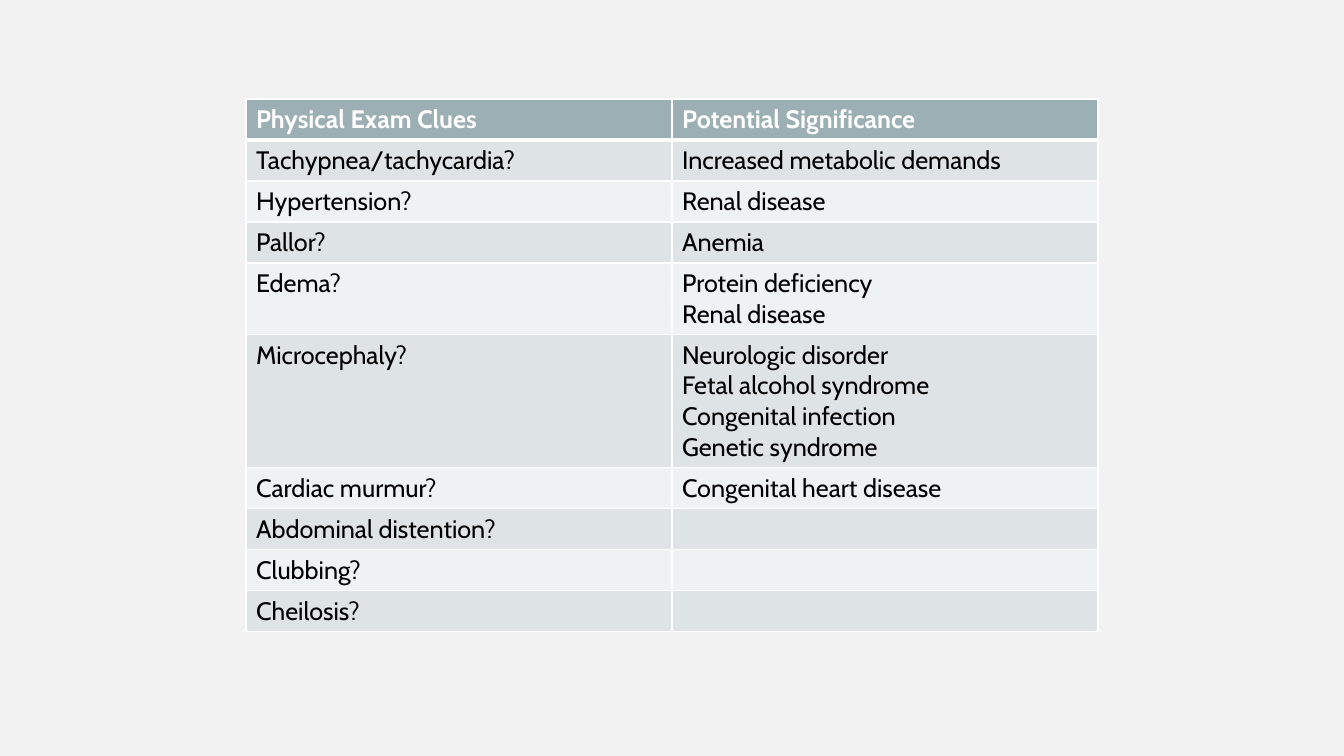
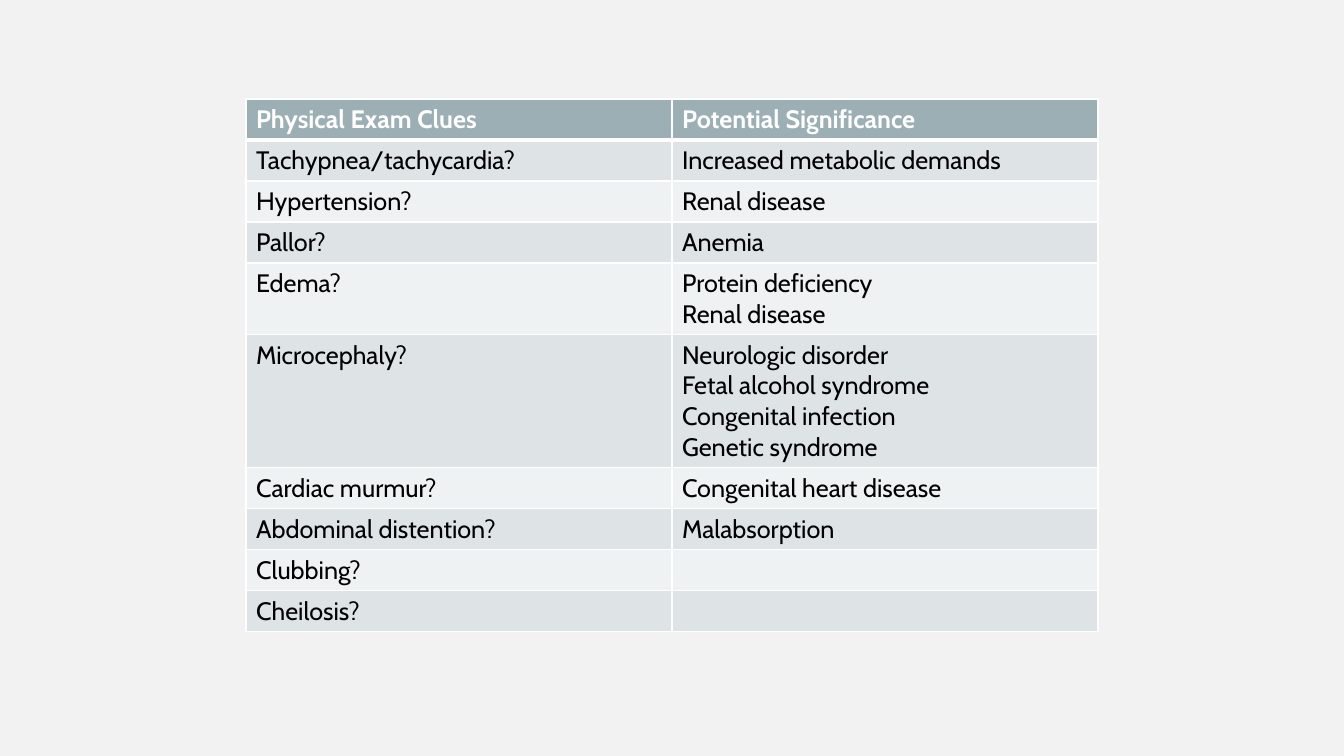
import pptx
import pptx.util
import pptx.dml.color
import pptx.oxml
import pptx.oxml.ns

HEAD = ("Physical Exam Clues", ["Potential Significance"])
CLUES = [
    ("Tachypnea/tachycardia?", ["Increased metabolic demands"]),
    ("Hypertension?", ["Renal disease"]),
    ("Pallor?", ["Anemia"]),
    ("Edema?", ["Protein deficiency", "Renal disease"]),
    ("Microcephaly?", ["Neurologic disorder", "Fetal alcohol syndrome",
                       "Congenital infection", "Genetic syndrome"]),
    ("Cardiac murmur?", ["Congenital heart disease"]),
    ("Abdominal distention?", []),
    ("Clubbing?", []),
    ("Cheilosis?", []),
]
SLIDES = [{}, {"Abdominal distention?": ["Malabsorption"]}]

PAGE, BAND, WHITE, BLACK = "F2F2F2", "9BAFB5", "FFFFFF", "000000"
STRIPES = ["DEE3E5", "EFF2F3"]
FONT = {"name": "Cabin", "size": pptx.util.Pt(18)}
FLAGS = {"first_row": True, "horz_banding": False}

WIDE, HIGH = 1344, 756
LEFT, TOP, COL, ROW, LINE = 246, 99, 426, 41, 30
SCALE = 914400 / 100.8


def px(n):
    return pptx.util.Emu(round(n * SCALE))


def color(code):
    return pptx.dml.color.RGBColor.from_string(code)


def assign(item, values):
    for key, value in values.items():
        setattr(item, key, value)


def paint(fill, code):
    fill.solid()
    fill.fore_color.rgb = color(code)


def border(cell, side, width):
    space = pptx.oxml.ns.nsdecls("a")
    line = pptx.oxml.parse_xml(
        f'<a:ln{side} {space} w="{pptx.util.Pt(width)}"><a:solidFill>'
        f'<a:srgbClr val="{WHITE}"/></a:solidFill></a:ln{side}>')
    cell._tc.get_or_add_tcPr().append(line)


def write(cell, lines, ink, bold):
    frame = cell.text_frame
    for i, text in enumerate(lines):
        para = frame.add_paragraph() if i else frame.paragraphs[0]
        run = para.add_run()
        run.text = text
        assign(run.font, {**FONT, "bold": bold})
        run.font.color.rgb = color(ink)


def build(deck, extra):
    slide = deck.slides.add_slide(deck.slide_layouts[6])
    rows = [HEAD] + [(clue, extra.get(clue, signs)) for clue, signs in CLUES]
    sizes = [ROW + LINE * max(len(signs) - 1, 0) for _, signs in rows]
    table = slide.shapes.add_table(
        len(rows), 2, px(LEFT), px(TOP), px(2 * COL), px(sum(sizes))).table
    assign(table, FLAGS)
    for col in table.columns:
        col.width = px(COL)
    for r, (clue, signs) in enumerate(rows):
        table.rows[r].height = px(sizes[r])
        head = r == 0
        shade = BAND if head else STRIPES[(r - 1) % 2]
        edges = {"L": 1, "R": 1, "T": 3 if r == 1 else 1, "B": 3 if head else 1}
        for c, lines in enumerate(([clue], signs)):
            cell = table.cell(r, c)
            for side, width in edges.items():
                border(cell, side, width)
            paint(cell.fill, shade)
            write(cell, lines, WHITE if head else BLACK, head)


def main():
    deck = pptx.Presentation()
    assign(deck, {"slide_width": px(WIDE), "slide_height": px(HIGH)})
    paint(deck.slide_master.background.fill, PAGE)
    for extra in SLIDES:
        build(deck, extra)
    deck.save("out.pptx")


if __name__ == "__main__":
    main()
